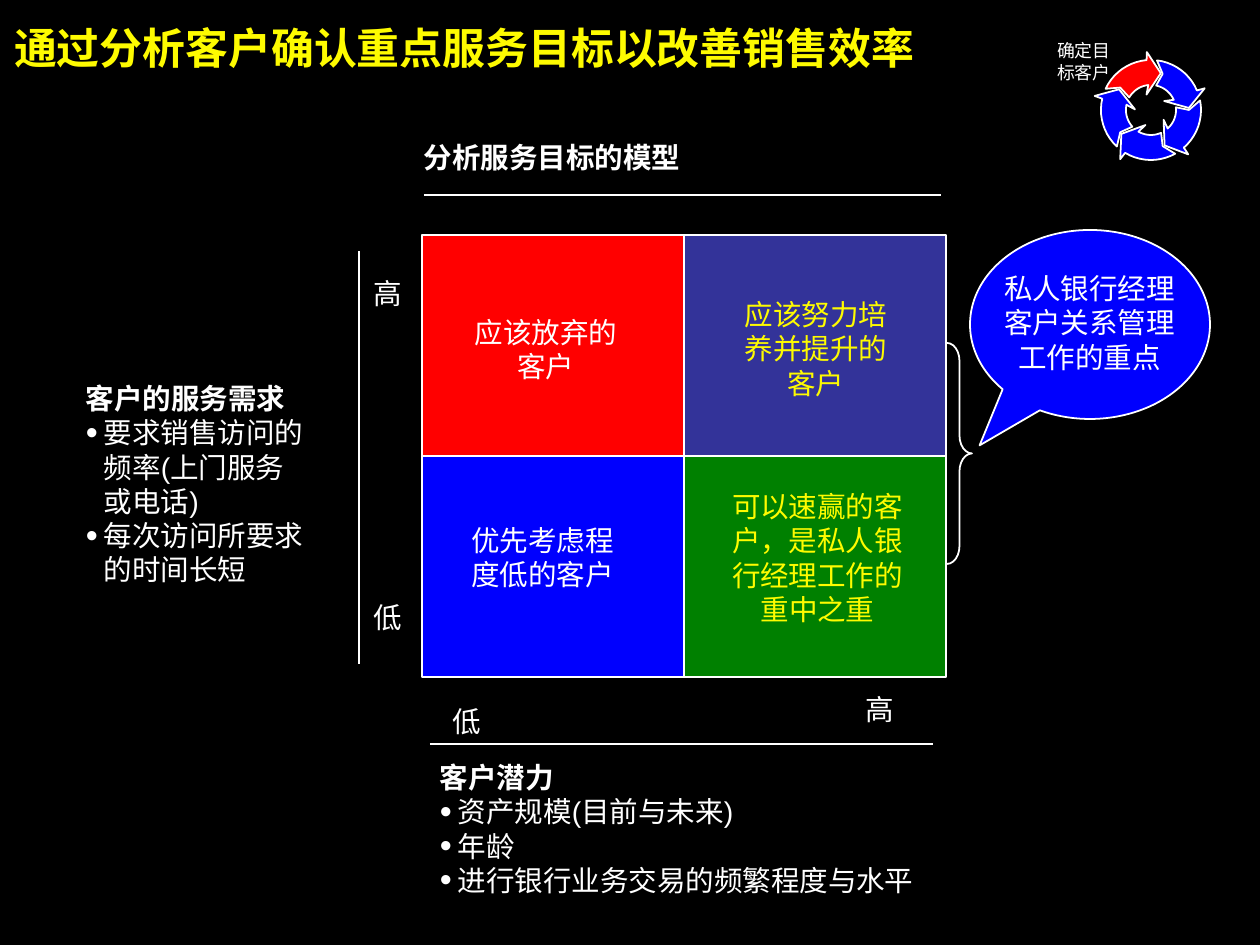
from math import cos, radians, sin

from lxml.etree import SubElement
from pptx import Presentation
from pptx.dml.color import RGBColor
from pptx.enum.shapes import MSO_CONNECTOR, MSO_SHAPE
from pptx.enum.text import MSO_ANCHOR, MSO_AUTO_SIZE, PP_ALIGN
from pptx.oxml.ns import qn
from pptx.util import Pt

PX = 7112
FONT = "Arial"
BLACK = RGBColor(0x00, 0x00, 0x00)
WHITE = RGBColor(0xFF, 0xFF, 0xFF)
YELLOW = RGBColor(0xFE, 0xFB, 0x00)
RED = RGBColor(0xFF, 0x00, 0x00)
BLUE = RGBColor(0x00, 0x00, 0xFE)
INDIGO = RGBColor(0x33, 0x33, 0x99)
GREEN = RGBColor(0x00, 0x80, 0x00)


def px(*lengths):
    """Turn px lengths into EMU."""
    return [round(length * PX) for length in lengths]


def prepare_frame(shape, anchor=MSO_ANCHOR.TOP):
    """Give a text shape no insets, wrapped lines and an anchor."""
    frame = shape.text_frame
    frame.margin_left = frame.margin_top = frame.margin_right = frame.margin_bottom = 0
    frame.word_wrap = True
    frame.auto_size = MSO_AUTO_SIZE.NONE
    frame.vertical_anchor = anchor
    return frame


def style_paragraph(paragraph, size=16, color=WHITE, bold=False, align=PP_ALIGN.LEFT):
    """Set the font and alignment of a paragraph."""
    paragraph.alignment = align
    font = paragraph.font
    font.name, font.size, font.bold = FONT, Pt(size), bold
    font.color.rgb = color


def add_text(slide, box, text, anchor=MSO_ANCHOR.TOP, **style):
    """Add a text box with one paragraph and return its frame."""
    frame = prepare_frame(slide.shapes.add_textbox(*px(*box)), anchor)
    frame.text = text
    style_paragraph(frame.paragraphs[0], **style)
    return frame


def add_bullet(paragraph):
    """Give a paragraph a hanging white bullet."""
    properties = paragraph._p.get_or_add_pPr()
    properties.set("marL", str(18 * PX))
    properties.set("indent", str(-18 * PX))
    color = SubElement(properties, qn("a:buClr"))
    SubElement(color, qn("a:srgbClr"), val=str(WHITE))
    SubElement(properties, qn("a:buSzPct"), val="120000")
    SubElement(properties, qn("a:buFont"), typeface=FONT)
    SubElement(properties, qn("a:buChar"), char="•")


def add_bullet_list(slide, box, heading, items):
    """Add a bold heading followed by bulleted items."""
    frame = add_text(slide, box, heading, bold=True)
    for item in items:
        paragraph = frame.add_paragraph()
        paragraph.text = item
        paragraph.level = 1
        add_bullet(paragraph)
        style_paragraph(paragraph)


def outline(shape, fill=None):
    """Give a shape a thin white line and a plain fill or none."""
    shape.shadow.inherit = False
    shape.line.color.rgb = WHITE
    shape.line.width = Pt(1)
    if fill is None:
        shape.fill.background()
    else:
        shape.fill.solid()
        shape.fill.fore_color.rgb = fill


def add_rule(slide, start_x, start_y, end_x, end_y):
    """Add a thin white straight line."""
    line = slide.shapes.add_connector(
        MSO_CONNECTOR.STRAIGHT, *px(start_x, start_y, end_x, end_y))
    line.line.color.rgb = WHITE
    line.line.width = Pt(1)
    SubElement(line._element.spPr, qn("a:effectLst"))


def add_title(slide, box, text):
    """Place and format the title placeholder."""
    title = slide.shapes.title
    title.left, title.top, title.width, title.height = px(*box)
    prepare_frame(title).text = text
    style_paragraph(title.text_frame.paragraphs[0], size=24, color=YELLOW, bold=True)


def add_model_heading(slide, left, top):
    """Add the underlined heading of the model."""
    add_text(slide, (left, top, 417, 35), "分析服务目标的模型", bold=True)
    add_rule(slide, left, top + 55, left + 517, top + 55)


def add_matrix(slide, left, top, cell_width, cell_height):
    """Add the four customer quadrants with their captions."""
    quadrants = [
        (RED, WHITE, "应该放弃的客户", (45, 80, 158, 68)),
        (INDIGO, YELLOW, "应该努力培养并提升的客户", (53, 62, 158, 103)),
        (BLUE, WHITE, "优先考虑程度低的客户", (43, 67, 155, 68)),
        (GREEN, YELLOW, "可以速赢的客户，是私人银行经理工作的重中之重", (42, 33, 183, 138)),
    ]
    for index, (fill, color, caption, (dx, dy, width, height)) in enumerate(quadrants):
        row, column = divmod(index, 2)
        x, y = left + column * cell_width, top + row * cell_height
        cell = slide.shapes.add_shape(
            MSO_SHAPE.RECTANGLE, *px(x, y, cell_width, cell_height))
        outline(cell, fill)
        add_text(slide, (x + dx, y + dy, width, height), caption,
                 color=color, align=PP_ALIGN.CENTER)


def add_demand_axis(slide, left, top):
    """Add the vertical service demand axis and its explanation."""
    add_bullet_list(slide, (left, top + 130, 222, 206), "客户的服务需求",
                    ["要求销售访问的频率(上门服务或电话)", "每次访问所要求的时间长短"])
    add_rule(slide, left + 273, top, left + 273, top + 413)
    for label, offset in (("高", 25), ("低", 349)):
        add_text(slide, (left + 287, top + offset, 45, 35), label)


def add_potential_axis(slide, left, top):
    """Add the horizontal customer potential axis and its explanation."""
    add_rule(slide, left, top, left + 503, top)
    for label, dx, dy in (("低", 22, -40), ("高", 435, -52)):
        add_text(slide, (left + dx, top + dy, 45, 35), label)
    add_bullet_list(slide, (left + 10, top + 16, 496, 138), "客户潜力",
                    ["资产规模(目前与未来)", "年龄", "进行银行业务交易的频繁程度与水平"])


def add_focus_callout(slide, left, top):
    """Add the brace beside the matrix and the speech bubble."""
    brace = slide.shapes.add_shape(
        MSO_SHAPE.RIGHT_BRACE, *px(left, top + 113, 25, 221))
    brace.adjustments[0] = 0.72
    outline(brace)
    bubble = slide.shapes.add_shape(
        MSO_SHAPE.OVAL_CALLOUT, *px(left + 23, top, 240, 189))
    bubble.adjustments[0], bubble.adjustments[1] = -0.46, 0.64
    outline(bubble, BLUE)
    add_text(slide, (left + 51, top + 41, 183, 103),
             "私人银行经理客户关系管理工作的重点", align=PP_ALIGN.CENTER)


def add_cycle(slide, center_x, center_y, radius):
    """Add the ring of five arrows with its first step highlighted."""
    inner, middle = radius / 2, radius * 0.76
    outer_arc = [(radius, angle) for angle in range(-65, 0, 6)]
    inner_arc = [(inner, angle) for angle in range(-6, -61, -6)]
    head = [(radius * 1.16, -4), (middle, 15), (radius * 0.32, -16)]
    arrow = outer_arc + head + inner_arc + [(middle, -54)]
    for step in range(5):
        points = []
        for distance, angle in arrow:
            turn = radians(angle + 72 * step)
            points.append(px(center_x + distance * sin(turn),
                             center_y - distance * cos(turn)))
        builder = slide.shapes.build_freeform(*points[0])
        builder.add_line_segments(points[1:], close=True)
        outline(builder.convert_to_shape(), BLUE if step else RED)
    add_text(slide, (center_x - 94, center_y - 70, 63, 43), "确定目标客户",
             anchor=MSO_ANCHOR.MIDDLE, size=10)


def build_slide(presentation):
    """Build the customer analysis slide."""
    slide = presentation.slides.add_slide(presentation.slide_layouts[5])
    slide.background.fill.solid()
    slide.background.fill.fore_color.rgb = BLACK
    add_title(slide, (14, 22, 1050, 51), "通过分析客户确认重点服务目标以改善销售效率")
    add_model_heading(slide, 424, 140)
    add_matrix(slide, 422, 235, 262, 221)
    add_demand_axis(slide, 86, 251)
    add_potential_axis(slide, 430, 744)
    add_focus_callout(slide, 947, 230)
    add_cycle(slide, 1151, 110, 50)


def main():
    """Create and save the presentation."""
    presentation = Presentation()
    presentation.slide_width, presentation.slide_height = px(1260, 945)
    build_slide(presentation)
    presentation.save("out.pptx")


if __name__ == "__main__":
    main()
